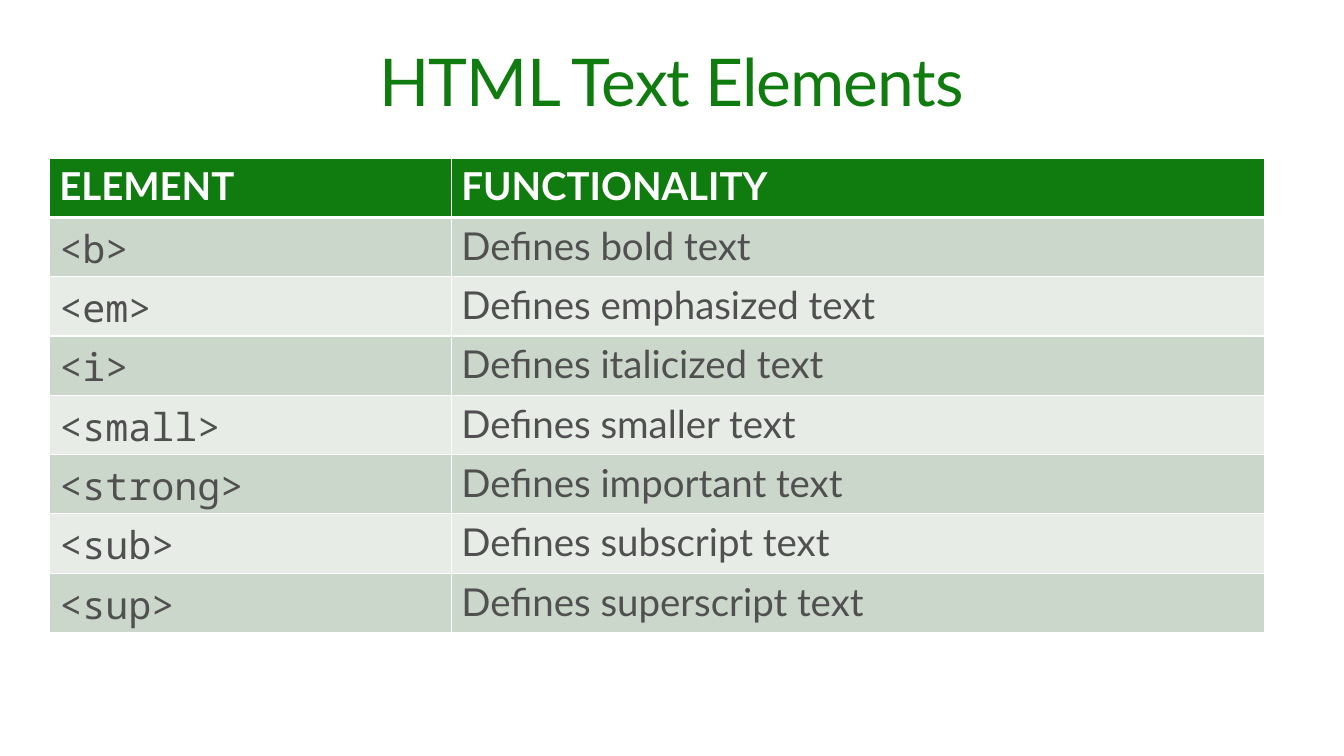
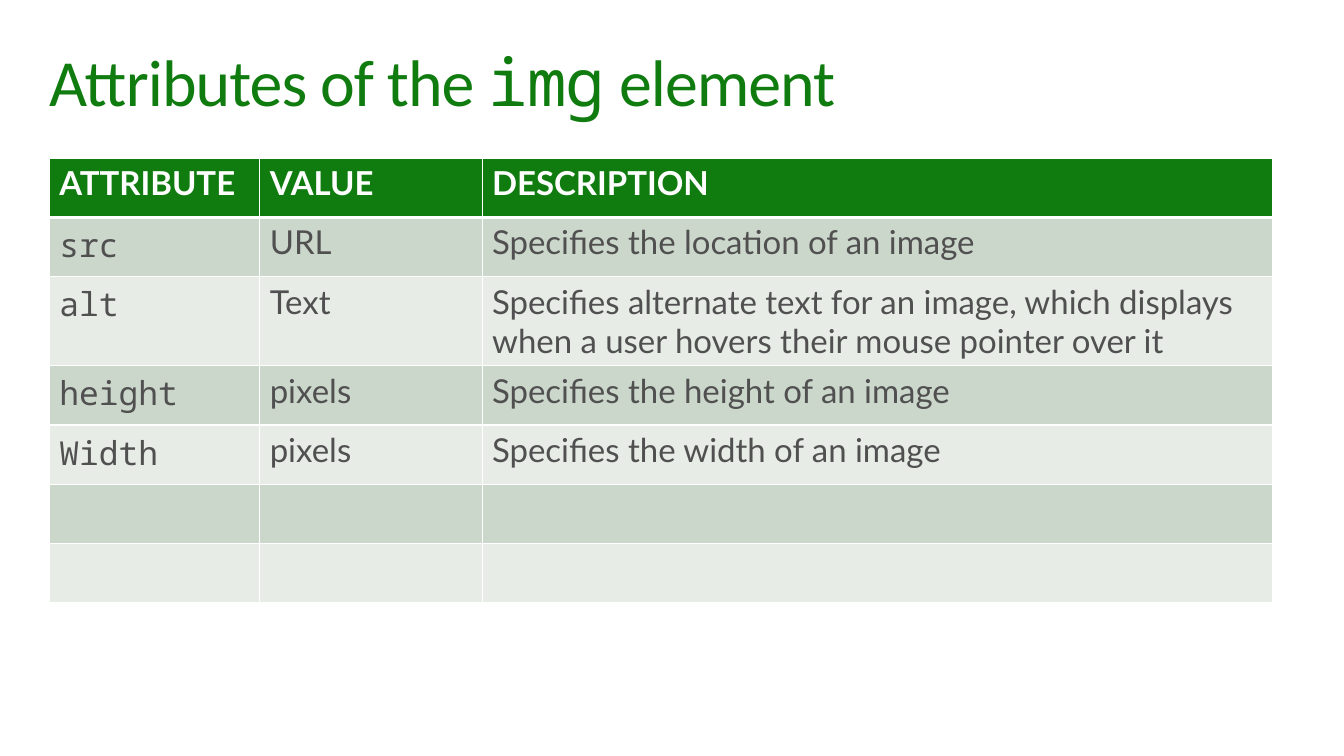
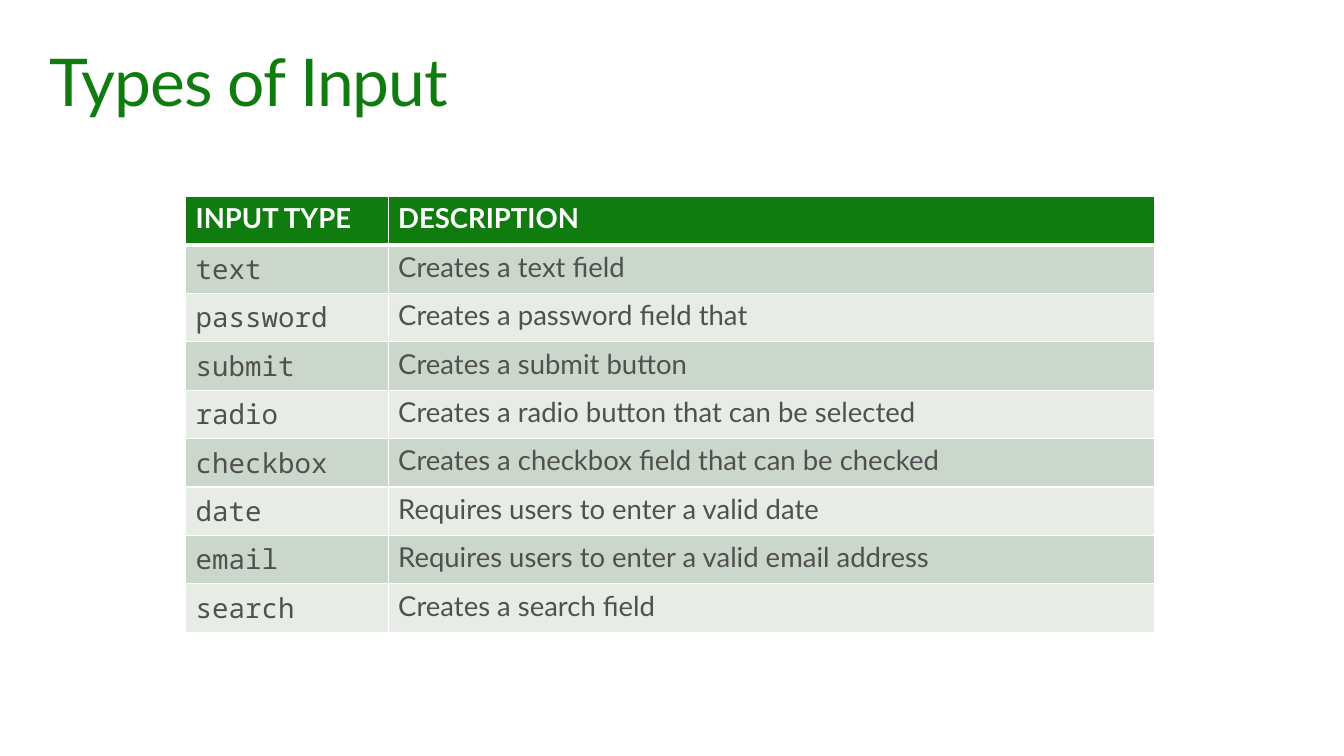
from lxml.etree import SubElement
from pptx import Presentation
from pptx.dml.color import RGBColor
from pptx.enum.text import MSO_ANCHOR as Anchor, PP_ALIGN as Align
from pptx.oxml.ns import qn
from pptx.util import Inches, Pt

GREEN = RGBColor(0x10, 0x7C, 0x10)
WHITE = RGBColor(0xFF, 0xFF, 0xFF)
GREY = RGBColor(0x50, 0x50, 0x50)
BANDS = RGBColor(0xCC, 0xD7, 0xCC), RGBColor(0xE7, 0xEC, 0xE7)
SANS, TITLE_SANS, MONO = "Lato", "Calibri", "Noto Sans Mono"
TITLE_BOX = 0.4, 0.4, 12.8, 1.0

TEXT_ELEMENTS = [
    ("ELEMENT", "FUNCTIONALITY"),
    ("<b>", "Defines bold text"),
    ("<em>", "Defines emphasized text"),
    ("<i>", "Defines italicized text"),
    ("<small>", "Defines smaller text"),
    ("<strong>", "Defines important text"),
    ("<sub>", "Defines subscript text"),
    ("<sup>", "Defines superscript text"),
]
IMG_ATTRIBUTES = [
    ("ATTRIBUTE", "VALUE", "DESCRIPTION"),
    ("src", "URL", "Specifies the location of an image"),
    ("alt", "Text", "Specifies alternate text for an image, which displays "
                    "when a user hovers their mouse pointer over it"),
    ("height", "pixels", "Specifies the height of an image"),
    ("Width", "pixels", "Specifies the width of an image"),
    ("", "", ""),
    ("", "", ""),
]
INPUT_TYPES = [
    ("INPUT TYPE", "DESCRIPTION"),
    ("text", "Creates a text field"),
    ("password", "Creates a password field that"),
    ("submit", "Creates a submit button"),
    ("radio", "Creates a radio button that can be selected"),
    ("checkbox", "Creates a checkbox field that can be checked"),
    ("date", "Requires users to enter a valid date"),
    ("email", "Requires users to enter a valid email address"),
    ("search", "Creates a search field"),
]


def add_run(paragraph, text, size, face, color, bold=False):
    run = paragraph.add_run()
    run.text = text
    font = run.font
    font.size, font.name, font.bold = Pt(size), face, bold
    font.color.rgb = color
    return run


def add_title(slide, box, pieces, align):
    frame = slide.shapes.add_textbox(*map(Inches, box)).text_frame
    frame.word_wrap = True
    frame.vertical_anchor = Anchor.TOP
    frame.margin_left = frame.margin_right = Inches(0.1)
    frame.margin_top = frame.margin_bottom = Inches(0.1)
    heading = frame.paragraphs[0]
    heading.alignment = align
    heading.line_spacing = 0.9
    for text, face in pieces:
        run = add_run(heading, text, 48, face, GREEN)
        run.font._element.set("spc", "-70")


def set_borders(cell, top, bottom):
    properties = cell._tc.get_or_add_tcPr()
    for side, width in (("L", 1), ("R", 1), ("T", top), ("B", bottom)):
        line = SubElement(properties, qn(f"a:ln{side}"), w=str(Pt(width)))
        fill = SubElement(line, qn("a:solidFill"))
        SubElement(fill, qn("a:srgbClr"), val=str(WHITE))


def fill_cell(cell, text, row, column, size):
    header = row == 0
    set_borders(cell, 3 if row == 1 else 1, 3 if header else 1)
    cell.fill.solid()
    cell.fill.fore_color.rgb = GREEN if header else BANDS[(row - 1) % 2]
    if text:
        face = MONO if column == 0 and not header else SANS
        add_run(cell.text_frame.paragraphs[0], text, size, face,
                WHITE if header else GREY, header)


def add_reference_table(slide, left, top, widths, row_height, entries, size):
    table = slide.shapes.add_table(
        len(entries), len(widths), Inches(left), Inches(top),
        Inches(sum(widths)), Inches(row_height * len(entries))).table
    for column, width in zip(table.columns, widths):
        column.width = Inches(width)
    for r, entry in enumerate(entries):
        table.rows[r].height = Inches(row_height)
        for c, text in enumerate(entry):
            fill_cell(table.cell(r, c), text, r, c, size)


def add_reference_slide(deck, title, grid, align=Align.LEFT):
    slide = deck.slides.add_slide(deck.slide_layouts[6])
    add_title(slide, TITLE_BOX, title, align)
    add_reference_table(slide, *grid)


def main():
    deck = Presentation()
    deck.slide_width, deck.slide_height = Inches(13.6), Inches(7.65)
    add_reference_slide(
        deck, [("HTML Text Elements", SANS)],
        (0.5, 1.6, (4.07, 8.23), 0.6, TEXT_ELEMENTS, 28), Align.CENTER)
    add_reference_slide(
        deck, [("Attributes of the ", TITLE_SANS), ("img", MONO),
               (" element", TITLE_SANS)],
        (0.5, 1.6, (2.13, 2.25, 8), 0.6, IMG_ATTRIBUTES, 24))
    add_reference_slide(
        deck, [("Types of Input", SANS)],
        (1.88, 1.99, (2.05, 7.75), 0.49, INPUT_TYPES, 20))
    deck.save("out.pptx")


if __name__ == "__main__":
    main()
